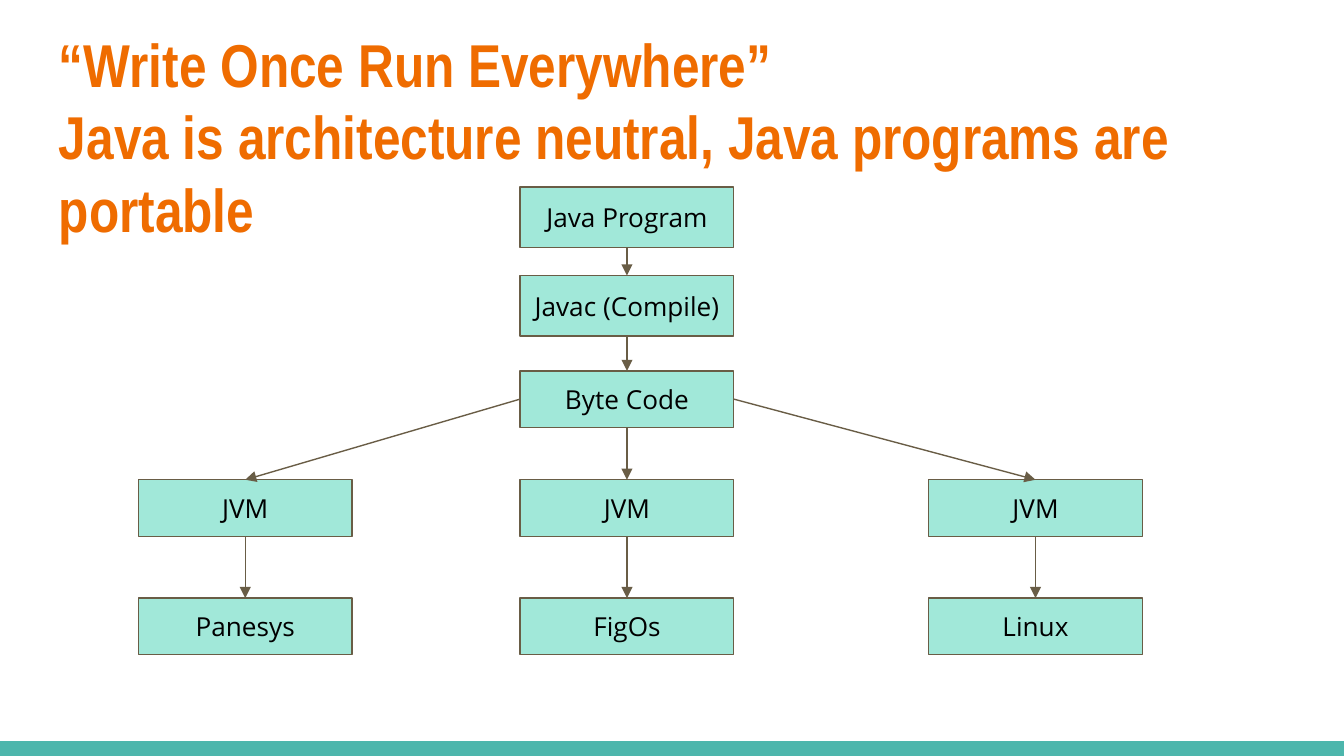
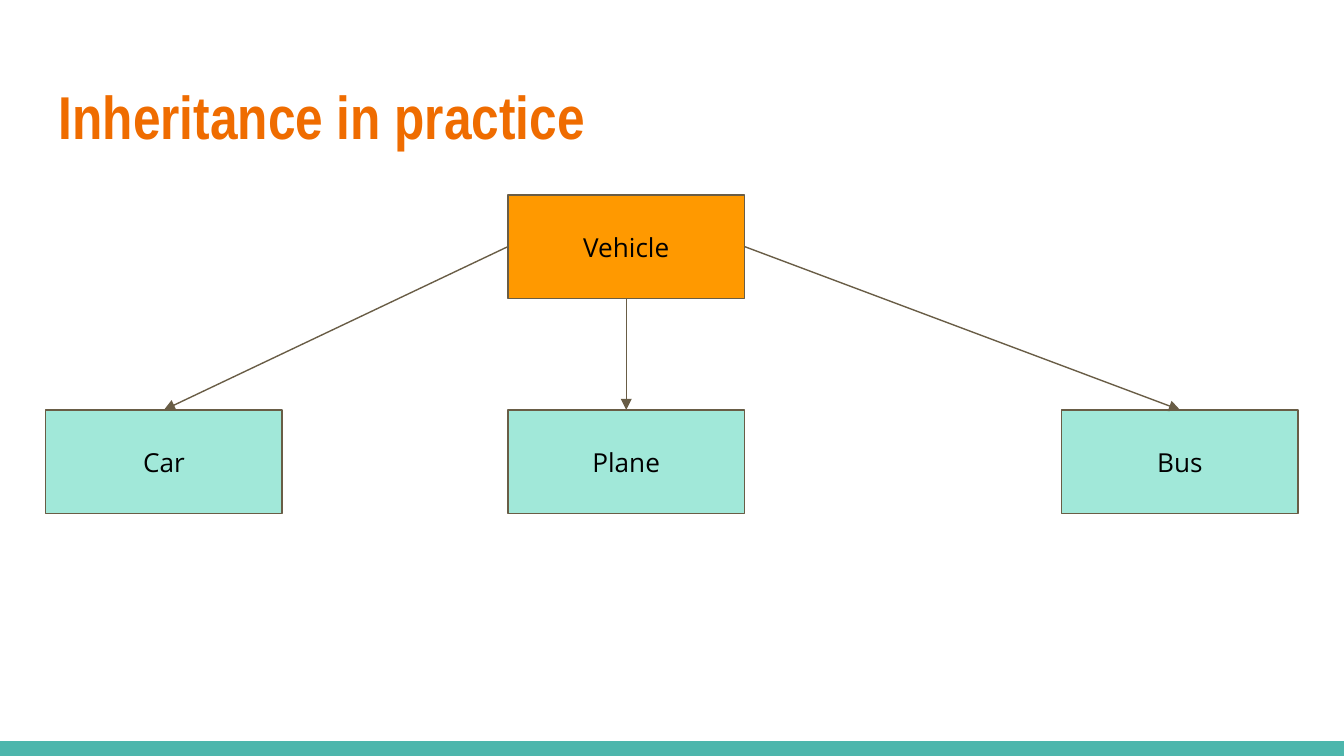
from lxml.etree import SubElement
from pptx import Presentation
from pptx.dml.color import RGBColor
from pptx.enum.shapes import MSO_CONNECTOR as Connector, MSO_SHAPE as Shape
from pptx.enum.text import MSO_ANCHOR as Anchor, PP_ALIGN as Align
from pptx.oxml.ns import qn
from pptx.util import Inches, Pt

COLORS = {"title": "EF6C00", "band": "4DB6AC", "mint": "A1E8D9",
          "orange": "FF9900", "line": "695D46", "text": "000000"}
TITLE_FONT, BODY_FONT = "Arial Narrow", "Open Sans"
SLIDE_W = 10
SLIDE_H = SLIDE_W * 9 / 16
BAND_H = 0.11
TITLE_LEFT, TITLE_W, TITLE_H = 0.34, 9.32, 0.77
TOP, LEFT, BOTTOM, RIGHT = range(4)

# Content: node = (label, column, row, fill); row = (top, height)
# Arrows run from the given side of one node to the top of another
SLIDES = [
    {
        "title": ["“Write Once Run Everywhere”",
                  "Java is architecture neutral, Java programs are portable"],
        "title_top": 0.1,
        "box_width": 1.59,
        "columns": [1.03, 3.87, 6.91],
        "rows": [(1.39, 0.45), (2.05, 0.45), (2.76, 0.42), (3.57, 0.42), (4.45, 0.42)],
        "nodes": {
            "program": ("Java Program", 1, 0, "mint"),
            "compiler": ("Javac (Compile)", 1, 1, "mint"),
            "bytecode": ("Byte Code", 1, 2, "mint"),
            "jvm_left": ("JVM", 0, 3, "mint"),
            "jvm_middle": ("JVM", 1, 3, "mint"),
            "jvm_right": ("JVM", 2, 3, "mint"),
            "system_left": ("Panesys", 0, 4, "mint"),
            "system_middle": ("FigOs", 1, 4, "mint"),
            "system_right": ("Linux", 2, 4, "mint"),
        },
        "arrows": [
            ("program", BOTTOM, "compiler"),
            ("compiler", BOTTOM, "bytecode"),
            ("bytecode", LEFT, "jvm_left"),
            ("bytecode", BOTTOM, "jvm_middle"),
            ("bytecode", RIGHT, "jvm_right"),
            ("jvm_left", BOTTOM, "system_left"),
            ("jvm_middle", BOTTOM, "system_middle"),
            ("jvm_right", BOTTOM, "system_right"),
        ],
    },
    {
        "title": ["Inheritance in practice"],
        "title_top": 0.49,
        "box_width": 1.76,
        "columns": [0.34, 3.78, 7.9],
        "rows": [(1.45, 0.77), (3.05, 0.77)],
        "nodes": {
            "vehicle": ("Vehicle", 1, 0, "orange"),
            "car": ("Car", 0, 1, "mint"),
            "plane": ("Plane", 1, 1, "mint"),
            "bus": ("Bus", 2, 1, "mint"),
        },
        "arrows": [
            ("vehicle", LEFT, "car"),
            ("vehicle", BOTTOM, "plane"),
            ("vehicle", RIGHT, "bus"),
        ],
    },
]


def color(name):
    return RGBColor.from_string(COLORS[name])


def set_insets(frame):
    frame.word_wrap = True
    frame.margin_left = frame.margin_right = Inches(0.1)
    frame.margin_top = frame.margin_bottom = Inches(0.1)


def style_text(paragraph, font_name, size, color_name, bold=False):
    font = paragraph.font
    font.name, font.size, font.bold = font_name, Pt(size), bold
    font.color.rgb = color(color_name)


def style_line(line):
    line.color.rgb = color("line")
    line.width = Pt(0.75)


def add_rectangle(slide, left, top, width, height, fill):
    rectangle = slide.shapes.add_shape(
        Shape.RECTANGLE, Inches(left), Inches(top), Inches(width), Inches(height))
    rectangle.shadow.inherit = False
    rectangle.fill.solid()
    rectangle.fill.fore_color.rgb = color(fill)
    rectangle.line.fill.background()
    return rectangle


def add_title(slide, lines, top):
    title = slide.shapes.add_textbox(
        Inches(TITLE_LEFT), Inches(top), Inches(TITLE_W), Inches(TITLE_H))
    frame = title.text_frame
    set_insets(frame)
    frame.text = "\n".join(lines)
    for paragraph in frame.paragraphs:
        style_text(paragraph, TITLE_FONT, 32.4, "title", bold=True)


def add_node(slide, label, left, top, width, height, fill):
    node = add_rectangle(slide, left, top, width, height, fill)
    style_line(node.line)
    frame = node.text_frame
    set_insets(frame)
    frame.vertical_anchor = Anchor.MIDDLE
    frame.text = label
    paragraph = frame.paragraphs[0]
    paragraph.alignment = Align.CENTER
    style_text(paragraph, BODY_FONT, 14, "text")
    return node


def add_arrow(slide, start, side, end):
    arrow = slide.shapes.add_connector(Connector.STRAIGHT, 0, 0, 0, 0)
    arrow.begin_connect(start, side)
    arrow.end_connect(end, TOP)
    style_line(arrow.line)
    properties = arrow.element.spPr
    SubElement(properties.find(qn("a:ln")), qn("a:tailEnd"), type="triangle")
    SubElement(properties, qn("a:effectLst"))


def build_slide(deck, content):
    slide = deck.slides.add_slide(deck.slide_layouts[6])
    add_rectangle(slide, 0, SLIDE_H - BAND_H, SLIDE_W, BAND_H, "band")
    add_title(slide, content["title"], content["title_top"])
    nodes = {}
    for key, (label, column, row, fill) in content["nodes"].items():
        top, height = content["rows"][row]
        nodes[key] = add_node(slide, label, content["columns"][column], top,
                              content["box_width"], height, fill)
    for start, side, end in content["arrows"]:
        add_arrow(slide, nodes[start], side, nodes[end])


def main():
    deck = Presentation()
    deck.slide_width, deck.slide_height = Inches(SLIDE_W), Inches(SLIDE_H)
    for content in SLIDES:
        build_slide(deck, content)
    deck.save("out.pptx")


if __name__ == "__main__":
    main()
